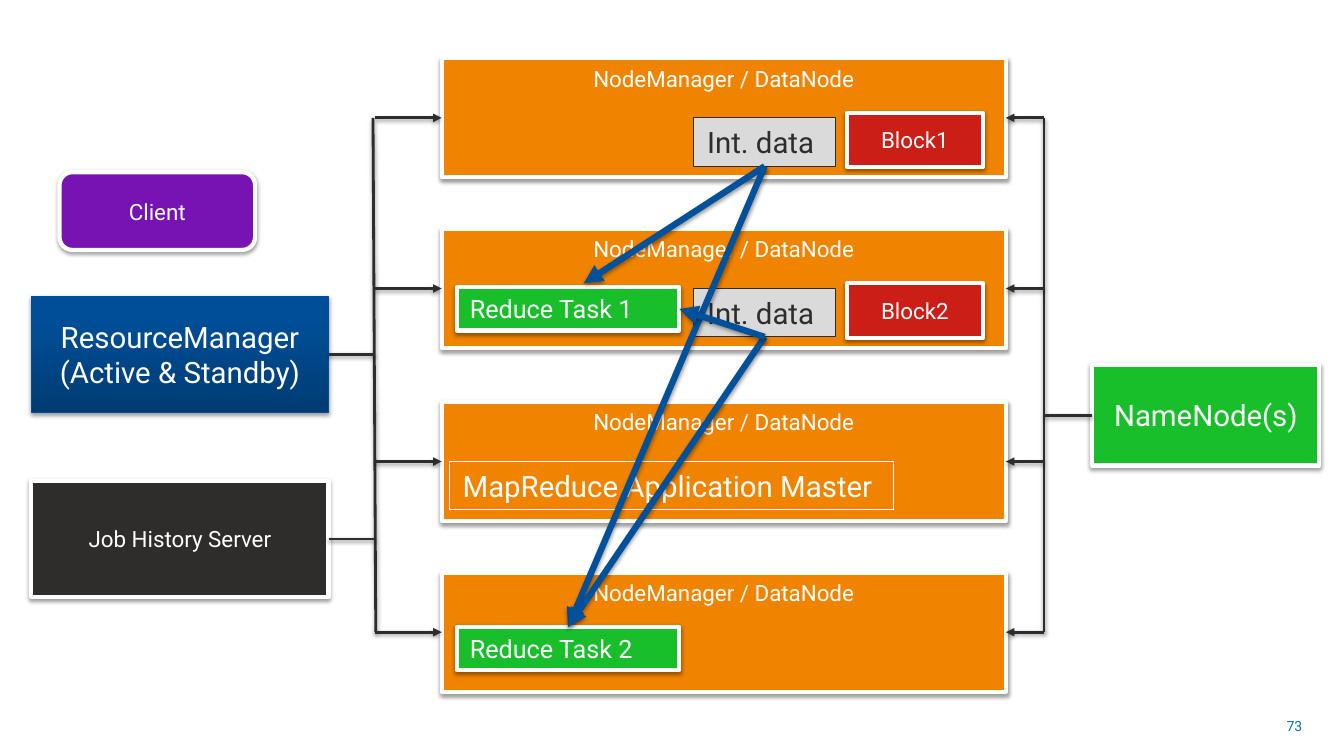
from lxml import etree
from pptx import Presentation
from pptx.dml.color import RGBColor
from pptx.enum import shapes, text
from pptx.oxml.ns import qn
from pptx.util import Cm, Pt

WHITE = RGBColor(0xFF, 0xFF, 0xFF)
DARK = RGBColor(0x2E, 0x2D, 0x2C)
ORANGE = RGBColor(0xF0, 0x83, 0x00)
GREEN = RGBColor(0x18, 0xBF, 0x2B)
RED = RGBColor(0xCA, 0x1E, 0x17)
PURPLE = RGBColor(0x77, 0x13, 0xB2)
GREY = RGBColor(0xDA, 0xDA, 0xDA)
BLUE = RGBColor(0x00, 0x51, 0x9C)
BLUE_LINE = RGBColor(0x00, 0x4F, 0x99)
BLUE_TOP = RGBColor(0x00, 0x4E, 0x97)
BLUE_BOTTOM = RGBColor(0x00, 0x3C, 0x74)
NUMBER_BLUE = RGBColor(0x00, 0x70, 0xC0)

RECT = shapes.MSO_SHAPE.RECTANGLE
ROUNDED = shapes.MSO_SHAPE.ROUNDED_RECTANGLE
TOP, LEFT, BOTTOM, RIGHT = range(4)

NODE_LEFT, NODE_WIDTH, NODE_HEIGHT = 11.13, 14.22, 3
NODE_TOPS = (1.47, 5.77, 10.13, 14.43)
NODE_MIDDLES = [top + NODE_HEIGHT / 2 for top in NODE_TOPS]
LEFT_TRUNK, RIGHT_TRUNK = 9.45, 26.31


def add_shadow(sp):
    """Give a shape or connector a soft shadow straight below it."""
    effects = sp._element.spPr.find(qn("a:effectLst"))
    if effects is None:
        effects = etree.SubElement(sp._element.spPr, qn("a:effectLst"))
    outer = etree.SubElement(effects, qn("a:outerShdw"), blurRad=str(Pt(3.1)),
                             dist=str(Pt(1.6)), dir="5400000", rotWithShape="0")
    color = etree.SubElement(outer, qn("a:srgbClr"), val="000000")
    etree.SubElement(color, qn("a:alpha"), val="38000")


def add_text(sp, words, size, color, align, anchor):
    tf = sp.text_frame
    tf.word_wrap = True
    tf.vertical_anchor = anchor
    tf.margin_left = tf.margin_right = Cm(0.33)
    tf.margin_top = tf.margin_bottom = Cm(0.16)
    p = tf.paragraphs[0]
    p.alignment = align
    r = p.add_run()
    r.text = words
    r.font.name = "Roboto"
    r.font.size = Pt(size)
    r.font.color.rgb = color


def add_box(s, words, x, y, w, h, fill=None, size=16, color=WHITE, line=WHITE,
            line_width=3, kind=RECT, shadow=True, align=text.PP_ALIGN.CENTER,
            anchor=text.MSO_ANCHOR.MIDDLE):
    sp = s.shapes.add_shape(kind, Cm(x), Cm(y), Cm(w), Cm(h))
    if fill is None:
        sp.fill.background()
    else:
        sp.fill.solid()
        sp.fill.fore_color.rgb = fill
    sp.line.color.rgb = line
    sp.line.width = Pt(line_width)
    sp.shadow.inherit = False
    if shadow:
        add_shadow(sp)
    add_text(sp, words, size, color, align, anchor)
    return sp


def add_label(s, words, x, y, w, h, **style):
    """Add a box whose text starts at its top left."""
    return add_box(s, words, x, y, w, h, align=text.PP_ALIGN.LEFT,
                   anchor=text.MSO_ANCHOR.TOP, **style)


def add_line(s, x1, y1, x2, y2, start=None, end=None, color=DARK, width=2, arrow=False):
    """Draw a line; start and end are optional (shape, side) pairs to join."""
    c = s.shapes.add_connector(shapes.MSO_CONNECTOR.STRAIGHT,
                               Cm(x1), Cm(y1), Cm(x2), Cm(y2))
    if start:
        c.begin_connect(*start)
    if end:
        c.end_connect(*end)
    c.line.color.rgb = color
    c.line.width = Pt(width)
    if arrow:
        etree.SubElement(c.line._get_or_add_ln(), qn("a:tailEnd"), type="triangle")
    add_shadow(c)


def add_servers(s):
    manager = add_box(s, "ResourceManager (Active & Standby)", 0.79, 7.47, 7.49, 2.92,
                      BLUE, 21, line=BLUE_LINE, line_width=0.75)
    manager.fill.gradient()
    manager.fill.gradient_angle = 90
    bottom, top = manager.fill.gradient_stops
    bottom.color.rgb, bottom.position = BLUE_BOTTOM, 0
    top.color.rgb, top.position = BLUE_TOP, 0.8
    history = add_box(s, "Job History Server", 0.79, 12.12, 7.49, 2.92, DARK)
    names = add_box(s, "NameNode(s)", 27.53, 9.19, 5.72, 2.54, GREEN, 21)
    add_box(s, "Client", 1.5, 4.34, 4.93, 1.96, PURPLE, kind=ROUNDED)
    return manager, history, names


def add_wiring(s, nodes, manager, history, names):
    first, last = NODE_MIDDLES[0], NODE_MIDDLES[-1]
    add_line(s, 9.4, first, 9.47, last)
    add_line(s, RIGHT_TRUNK, first, RIGHT_TRUNK, last)
    for server, side, trunk in ((manager, RIGHT, LEFT_TRUNK), (history, RIGHT, LEFT_TRUNK),
                                (names, LEFT, RIGHT_TRUNK)):
        y = (server.top + server.height / 2) / Cm(1)
        add_line(s, trunk, y, trunk, y, start=(server, side))
    for node, y in zip(nodes, NODE_MIDDLES):
        for trunk, side in ((LEFT_TRUNK, LEFT), (RIGHT_TRUNK, RIGHT)):
            add_line(s, trunk, y, trunk, y, end=(node, side), arrow=True)


def add_tasks(s):
    for number, top in enumerate(NODE_TOPS[:2], 1):
        add_box(s, f"Block{number}", 21.34, top + 1.37, 3.43, 1.37, RED)
    add_label(s, "MapReduce Application Master", 11.33, 11.63, 11.18, 1.22,
              size=21, line_width=0.75, shadow=False)
    data1, data2 = [add_label(s, "Int. data", 17.49, top + 1.5, 3.56, 1.22, fill=GREY, size=21,
                              color=DARK, line=DARK, line_width=0.75, shadow=False)
                    for top in NODE_TOPS[:2]]
    reduce1, reduce2 = [add_label(s, f"Reduce Task {number}", 11.51, y, 5.61, 1.09,
                                  fill=GREEN, size=18)
                        for number, y in ((1, 7.24), (2, 15.8))]
    for data, end in ((data1, None), (data1, (reduce2, TOP)),
                      (data2, (reduce2, TOP)), (data2, (reduce1, RIGHT))):
        add_line(s, 14.71, 7.14, 14.71, 7.14, start=(data, BOTTOM), end=end,
                 color=BLUE, width=4.5, arrow=True)


def main():
    prs = Presentation()
    prs.slide_width, prs.slide_height = Cm(33.87), Cm(19.05)
    s = prs.slides.add_slide(prs.slide_layouts[6])
    number = s.shapes.add_textbox(Cm(25.17), Cm(17.78), Cm(7.98), Cm(1.02))
    add_text(number, "73", 10, NUMBER_BLUE, text.PP_ALIGN.RIGHT, text.MSO_ANCHOR.MIDDLE)
    servers = add_servers(s)
    nodes = [add_box(s, "NodeManager / DataNode", NODE_LEFT, top, NODE_WIDTH, NODE_HEIGHT,
                     ORANGE, anchor=text.MSO_ANCHOR.TOP) for top in NODE_TOPS]
    add_wiring(s, nodes, *servers)
    add_tasks(s)
    prs.save("out.pptx")


if __name__ == "__main__":
    main()
